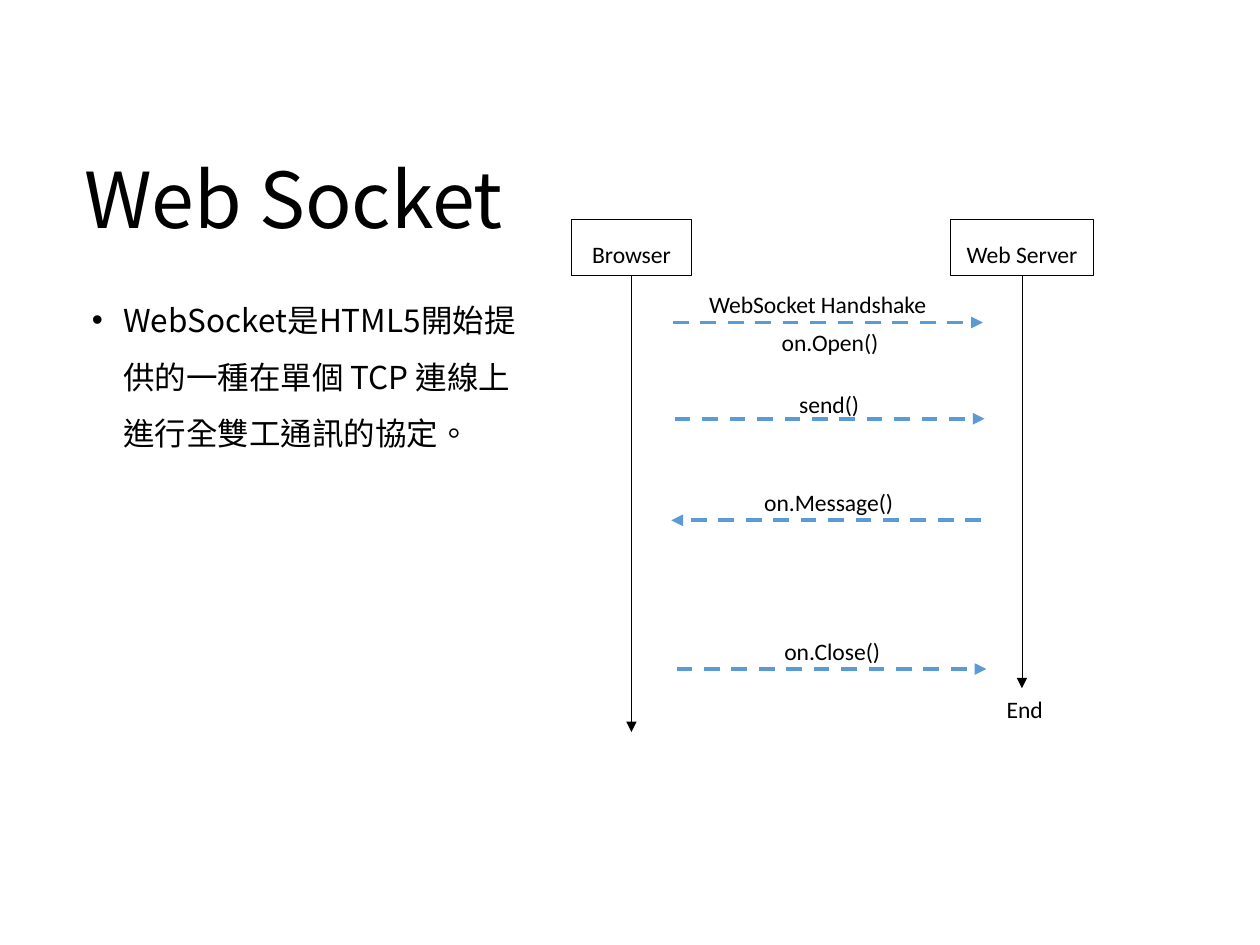
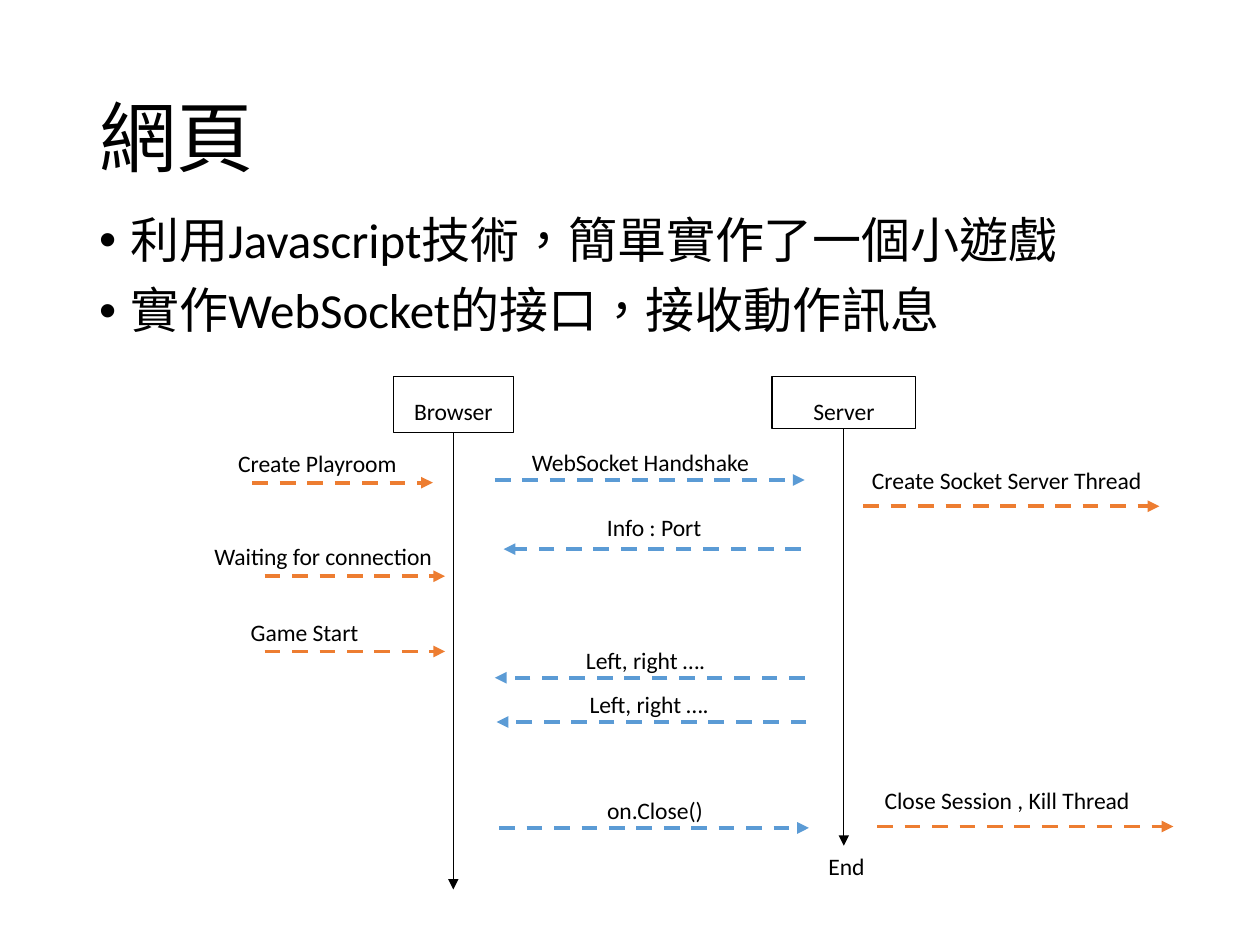
from dataclasses import dataclass
from lxml.etree import SubElement
from pptx import Presentation
from pptx.dml.color import RGBColor as RGB
from pptx.enum.dml import MSO_LINE as Dash
from pptx.enum.shapes import MSO_CONNECTOR as Link, MSO_SHAPE as Preset
from pptx.enum.text import MSO_ANCHOR as Anchor, PP_ALIGN as Align
from pptx.oxml.ns import qn
from pptx.util import Pt


@dataclass(frozen=True)
class Theme:
    ink: RGB = RGB(0, 0, 0)
    exchange: RGB = RGB(0x5B, 0x9B, 0xD5)
    local: RGB = RGB(0xED, 0x7D, 0x31)
    latin: str = "Calibri"
    cjk: str = "Noto Sans CJK SC"
    title_size: float = 44
    label_size: float = 13.5
    box_line: float = 0.75
    life_line: float = 0.5
    message_line: float = 2.25


THEME = Theme()
LABEL_HEIGHT = 23.8


@dataclass(frozen=True)
class Message:
    """An arrow from start to end at y; its label sits rise points higher."""
    text: str
    start: float
    end: float
    y: float
    label_x: float
    label_width: float
    rise: float = 22
    color: RGB = THEME.exchange


# Text helpers
def add_run(paragraph, text, size, font=THEME.latin):
    run = paragraph.add_run()
    run.text = text
    run.font.size, run.font.name = Pt(size), font
    run.font.color.rgb = THEME.ink
    props = run.font._element
    props.set("lang", "zh-TW")
    SubElement(props, qn("a:ea")).set("typeface", THEME.cjk)


def add_text_box(slide, box, wrap=True):
    frame = slide.shapes.add_textbox(*map(Pt, box)).text_frame
    frame.word_wrap = wrap
    return frame


def add_title(slide, box, text, font):
    frame = add_text_box(slide, box)
    frame.vertical_anchor = Anchor.MIDDLE
    heading = frame.paragraphs[0]
    heading.line_spacing = 0.9
    add_run(heading, text, THEME.title_size, font)


def add_bullets(slide, box, points, size, font, spacing):
    frame = add_text_box(slide, box)
    for index, point in enumerate(points):
        item = frame.add_paragraph() if index else frame.paragraphs[0]
        item.line_spacing, item.space_before = spacing, Pt(10)
        props = item._p.get_or_add_pPr()
        props.set("marL", str(Pt(18)))
        props.set("indent", str(-Pt(18)))
        SubElement(props, qn("a:buFont")).set("typeface", "Arial")
        SubElement(props, qn("a:buChar")).set("char", "•")
        add_run(item, point, size, font)


def add_label(slide, x, y, width, text):
    frame = add_text_box(slide, (x, y, width, LABEL_HEIGHT), wrap=False)
    add_run(frame.paragraphs[0], text, THEME.label_size)


# Diagram parts
def add_arrow(slide, start, end, color, weight, dash=None):
    arrow = slide.shapes.add_connector(Link.STRAIGHT, *map(Pt, (*start, *end)))
    arrow.line.color.rgb, arrow.line.width = color, Pt(weight)
    if dash:
        arrow.line.dash_style = dash
    SubElement(arrow.line._get_or_add_ln(), qn("a:tailEnd")).set("type", "triangle")
    SubElement(arrow._element.spPr, qn("a:effectLst"))


def add_participant(slide, x, y, width, height, name, life_end):
    box = slide.shapes.add_shape(Preset.RECTANGLE, *map(Pt, (x, y, width, height)))
    box.shadow.inherit = False
    box.fill.background()
    box.line.color.rgb, box.line.width = THEME.ink, Pt(THEME.box_line)
    frame = box.text_frame
    frame.word_wrap, frame.vertical_anchor = True, Anchor.TOP
    caption = frame.paragraphs[0]
    caption.alignment, caption.line_spacing = Align.CENTER, 1.5
    add_run(caption, name, THEME.label_size)
    center = x + width / 2
    add_arrow(slide, (center, y + height), (center, y + life_end),
              THEME.ink, THEME.life_line)


def add_sequence(slide, left, top, server, server_height, messages):
    """Sequence diagram whose origin is the corner of the browser box."""
    add_participant(slide, left, top, 68.5, 32, "Browser", 293)
    add_participant(slide, left + 216.4, top, 82, server_height, server, 268)
    for message in messages:
        y = top + message.y
        add_arrow(slide, (left + message.start, y), (left + message.end, y),
                  message.color, THEME.message_line, Dash.DASH)
        add_label(slide, left + message.label_x, y - message.rise,
                  message.label_width, message.text)
    add_label(slide, left + 241.5, top + 268, 35.3, "End")


# Slides
def build_protocol(slide):
    add_title(slide, (41, 77, 620.6, 78.5), "Web Socket", THEME.cjk)
    add_bullets(slide, (45.4, 157.7, 264.2, 257),
                ["WebSocket是HTML5開始提供的一種在單個 TCP 連線上進行全雙工通訊的協定。"],
                18, THEME.cjk, 1.5)
    left, top = 326.6, 125.3
    add_sequence(slide, left, top, "Web Server", 32, [
        Message("WebSocket Handshake", 58, 235, 59, 71.5, 140.4),
        Message("send()", 59, 236, 114, 123, 49.7, rise=20),
        Message("on.Message()", 234, 57, 172, 103, 89.3),
        Message("on.Close()", 60, 237, 257, 114.5, 70.6),
    ])
    add_label(slide, left + 113, top + 58.3, 70.6, "on.Open()")


def build_web_page(slide):
    add_title(slide, (49.5, 28.8, 620.6, 104.4), "網頁", THEME.latin)
    add_bullets(slide, (49.5, 120, 620.6, 386.6),
                ["利用Javascript技術，簡單實作了一個小遊戲",
                 "實作WebSocket的接口，接收動作訊息"],
                28, THEME.latin, 0.9)
    local = THEME.local
    add_sequence(slide, 224.8, 215.3, "Server", 29.5, [
        # Between browser and server
        Message("WebSocket Handshake", 58, 235, 59, 72, 140.4),
        Message("Info : Port", 233, 63, 98.5, 115, 69.1, rise=24.5),
        Message("Left, right ….", 235, 58, 172, 103, 84.2),
        Message("Left, right ….", 236, 59, 197.3, 105, 84.2),
        Message("on.Close()", 60.5, 237.5, 257.8, 115, 70.6),
        # Inside the browser
        Message("Create Playroom", -80.5, 22.5, 60.5, -95.8, 106.6, 23, local),
        Message("Waiting for connection", -73.5, 29.5, 114, -109.4, 141.1, 23, local),
        Message("Game Start", -73.5, 29.5, 157, -88.6, 77, 23, local),
        # Inside the server
        Message("Create Socket Server Thread", 268.5, 437.7, 74, 266.4, 171.4, 26.6, local),
        Message("Close Session , Kill Thread", 276.5, 445.7, 257, 273.6, 157, 26.6, local),
    ])


def main():
    deck = Presentation()
    deck.slide_width, deck.slide_height = Pt(720), Pt(540)
    for build in (build_protocol, build_web_page):
        build(deck.slides.add_slide(deck.slide_layouts[6]))
    deck.save("out.pptx")


if __name__ == "__main__":
    main()
